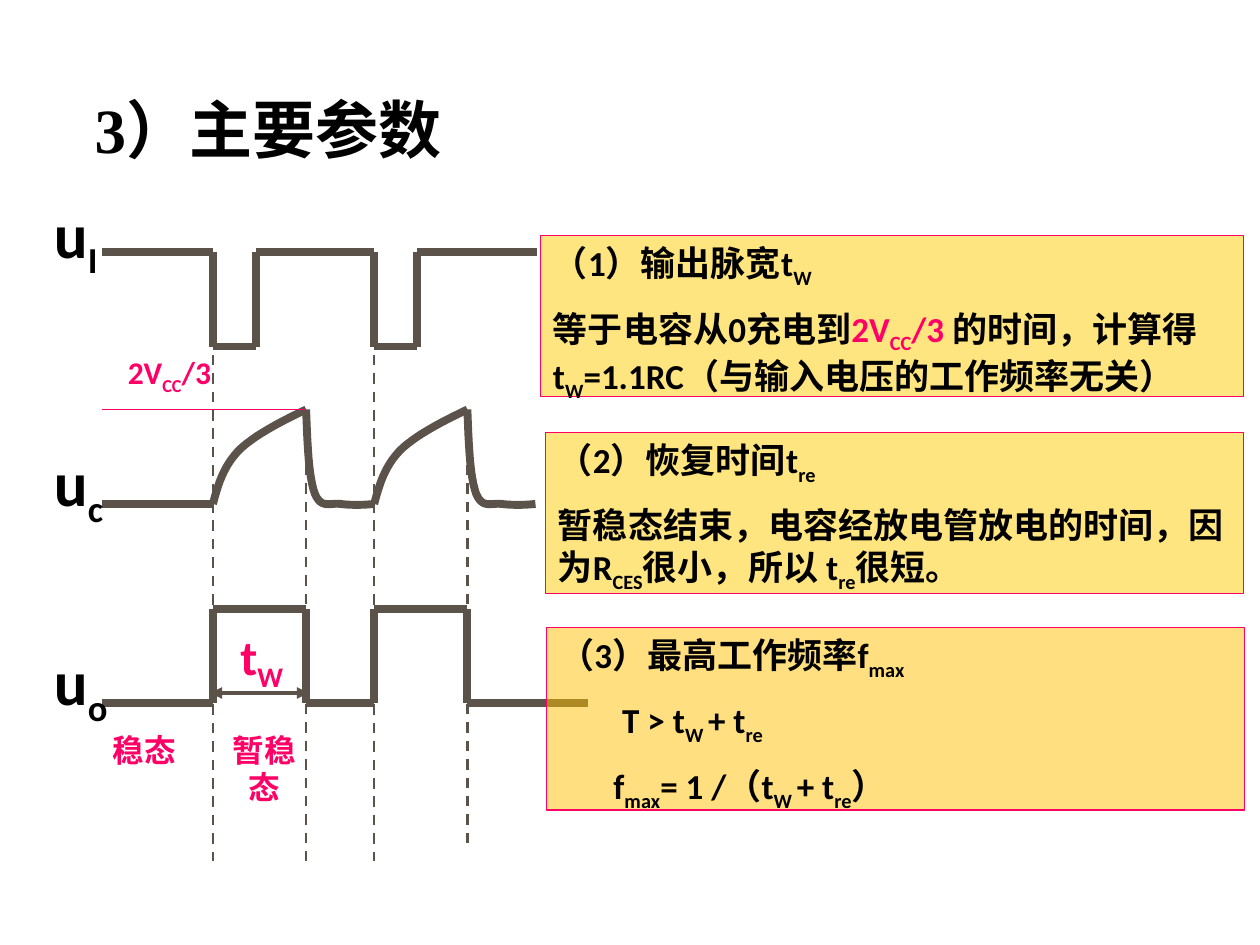
from dataclasses import dataclass
from typing import List, Optional, Sequence, Tuple

from lxml import etree
from pptx import Presentation
from pptx.dml.color import RGBColor
from pptx.enum.dml import MSO_LINE
from pptx.enum.shapes import MSO_CONNECTOR, MSO_SHAPE
from pptx.enum.text import MSO_ANCHOR, PP_ALIGN
from pptx.oxml.ns import qn
from pptx.util import Inches, Pt

BLACK = RGBColor(0x00, 0x00, 0x00)
PINK = RGBColor(0xFF, 0x00, 0x66)
BROWN = RGBColor(0x5B, 0x52, 0x49)
YELLOW = RGBColor(0xFF, 0xCC, 0x00)
AMBER = RGBColor(0xFF, 0xC0, 0x00)
STRAIGHT = MSO_CONNECTOR.STRAIGHT
RECT = MSO_SHAPE.RECTANGLE
DASH = MSO_LINE.DASH
TOP = MSO_ANCHOR.TOP
LEFT, CENTER = PP_ALIGN.LEFT, PP_ALIGN.CENTER
BODY, SERIF = "Calibri", "Times New Roman"

Point = Tuple[float, float]
Box = Tuple[float, float, float, float]


@dataclass
class Run:
    text: str
    sub: bool = False
    color: Optional[RGBColor] = None


@dataclass
class Para:
    runs: List[Run]
    indent: float = 0


@dataclass
class Label:
    box: Box
    runs: List[Run]
    size: int
    color: RGBColor = PINK
    align: PP_ALIGN = CENTER
    font: str = BODY


@dataclass
class Panel:
    box: Box
    fill: RGBColor
    paras: List[Para]


def sub(text: str, color: Optional[RGBColor] = None) -> Run:
    return Run(text, True, color)


def write(tf, paras: Sequence[Para], size: int, color: RGBColor, align, font: str) -> None:
    tf.word_wrap = True
    tf.vertical_anchor = TOP
    for i, para in enumerate(paras):
        p = tf.add_paragraph() if i else tf.paragraphs[0]
        p.alignment = align
        if i:
            p.space_before = Pt(size / 2)
        if para.indent:
            p._p.get_or_add_pPr().set("marL", str(Inches(para.indent)))
        for run in para.runs:
            if run.text == "\n":
                p.add_line_break()
                continue
            r = p.add_run()
            r.text = run.text
            r.font.name = font
            r.font.size = Pt(size)
            r.font.bold = True
            r.font.color.rgb = run.color or color
            if run.sub:
                r._r.get_or_add_rPr().set("baseline", "-25000")


def add_label(shapes, label: Label) -> None:
    s = shapes.add_textbox(*map(Inches, label.box))
    write(s.text_frame, [Para(label.runs)], label.size, label.color, label.align, label.font)


def add_panel(shapes, panel: Panel) -> None:
    s = shapes.add_shape(RECT, *map(Inches, panel.box))
    s.shadow.inherit = False
    s.fill.solid()
    s.fill.fore_color.rgb = panel.fill
    clr = s._element.spPr.find(".//" + qn("a:srgbClr"))
    etree.SubElement(clr, qn("a:alpha")).set("val", "50000")
    s.line.color.rgb = PINK
    s.line.width = Pt(0.75)
    write(s.text_frame, panel.paras, 20, BLACK, LEFT, BODY)


def add_line(shapes, start: Point, end: Point, width: float = 4.5,
             color: RGBColor = BROWN, dash=None, arrows: bool = False) -> None:
    s = shapes.add_connector(STRAIGHT, *map(Inches, start + end))
    s.line.color.rgb = color
    s.line.width = Pt(width)
    if dash:
        s.line.dash_style = dash
    if arrows:
        for tag in ("a:headEnd", "a:tailEnd"):
            etree.SubElement(s.line._get_or_add_ln(), qn(tag)).set("type", "triangle")
    etree.SubElement(s._element.spPr, qn("a:effectLst"))


def add_wave(shapes, points: Sequence[Point]) -> None:
    for start, end in zip(points, points[1:]):
        add_line(shapes, start, end)


def bezier(a: Point, b: Point, c: Point, d: Point, steps: int = 12) -> List[Point]:
    ts = [i / steps for i in range(1, steps + 1)]
    return [tuple((1 - t) ** 3 * w + 3 * (1 - t) ** 2 * t * x + 3 * (1 - t) * t ** 2 * y + t ** 3 * z
                  for w, x, y, z in zip(a, b, c, d)) for t in ts]


def add_curve(shapes, knots: Sequence[Point], dx: float) -> None:
    points = [knots[0]]
    for i in range(0, len(knots) - 1, 3):
        points += bezier(*knots[i:i + 4])
    emu = [(Inches(x + dx), Inches(y)) for x, y in points]
    fb = shapes.build_freeform(*emu[0])
    fb.add_line_segments(emu[1:], close=False)
    s = fb.convert_to_shape()
    s.shadow.inherit = False
    s.fill.background()
    s.line.color.rgb = BROWN
    s.line.width = Pt(4.5)


X0, PULSE, WIDTH = 0.81, 0.34, 0.74
STARTS = (1.69, 2.97)
PEAK = 3.25
RISE = [(0, 4), (0.04, 3.85), (0.08, 3.71), (0.2, 3.58), (0.32, 3.46), (0.53, 3.35), (WIDTH, PEAK)]
FALL = [(WIDTH, PEAK), (0.75, 3.52), (0.76, 3.79), (0.81, 3.92), (0.86, 4.04), (0.93, 3.99),
        (1.01, 4), (1.09, 4.01), (1.19, 4.01), (1.28, 4)]

TITLE = Label((0.5, 0.67, 3.25, 0.87), [Run("3）主要参数")], 36, BLACK, CENTER, SERIF)
LABELS = [Label((0.33, y, 0.95, 0.7), [Run("u"), sub(name)], 36, BLACK, LEFT)
          for name, y in (("I", 1.5), ("c", 3.47), ("o", 5.05))] + [
    Label((0.74, 5.75, 0.81, 0.9), [Run("稳态")], 18),
    Label((1.69, 5.75, 0.81, 1.3), [Run("暂稳态")], 18),
    Label((0.67, 2.75, 1.35, 0.5), [Run("2V"), sub("CC"), Run("/3")], 18),
    Label((1.81, 4.92, 0.86, 0.57), [Run("t"), sub("W")], 28, align=LEFT),
]
SUM = [Run("t"), sub("W "), Run("+ t"), sub("re")]
PULSE_PANEL = Panel((4.29, 1.87, 5.58, 1.28), YELLOW, [
    Para([Run("（1）输出脉宽t"), sub("W")]),
    Para([Run("等于电容从0充电到"), Run("2V", color=PINK), sub("CC", PINK), Run("/3 ", color=PINK),
          Run("的时间，计算得"), Run("\n"), Run("t"), sub("W"),
          Run("=1.1RC（与输入电压的工作频率无关）")]),
])
RECOVERY_PANEL = Panel((4.33, 3.43, 5.54, 1.28), YELLOW, [
    Para([Run("（2）恢复时间t"), sub("re")]),
    Para([Run("暂稳态结束，电容经放电管放电的时间，因为R"), sub("CES"),
          Run("很小，所以 t"), sub("re"), Run("很短。")]),
])
FREQUENCY_PANEL = Panel((4.34, 4.98, 5.54, 1.45), AMBER, [
    Para([Run("（3）最高工作频率f"), sub("max")]),
    Para([Run("T > ")] + SUM, 0.5),
    Para([Run("f"), sub("max"), Run("= 1 /（")] + SUM + [Run("）")], 0.43),
])


def square_wave(base: float, level: float, width: float, end: float) -> List[Point]:
    points = [(X0, base)]
    for x in STARTS:
        points += [(x, base), (x, level), (x + width, level), (x + width, base)]
    return points + [(end, base)]


def main() -> None:
    prs = Presentation()
    prs.slide_width, prs.slide_height = Inches(10), Inches(7.5)
    shapes = prs.slides.add_slide(prs.slide_layouts[6]).shapes

    add_label(shapes, TITLE)
    add_panel(shapes, PULSE_PANEL)
    add_wave(shapes, square_wave(2, 2.75, PULSE, 4.26))
    add_wave(shapes, square_wave(5.58, 4.83, WIDTH, 4.67))
    add_line(shapes, (X0, 4), (STARTS[0], 4))
    for x, bottom in zip(STARTS, (6.83, 6.75)):
        add_line(shapes, (x, 2.67), (x, 6.83), 1.5, dash=DASH)
        add_curve(shapes, RISE, x)
        add_curve(shapes, FALL, x)
        add_line(shapes, (x + WIDTH, PEAK), (x + WIDTH, bottom), 1.5, dash=DASH)
    add_line(shapes, (STARTS[0] + WIDTH, PEAK), (X0, PEAK), 0.75, PINK)
    add_line(shapes, (1.67, 5.5), (2.45, 5.5), 2.25, arrows=True)
    for label in LABELS:
        add_label(shapes, label)
    add_panel(shapes, RECOVERY_PANEL)
    add_panel(shapes, FREQUENCY_PANEL)
    prs.save("out.pptx")


if __name__ == "__main__":
    main()
